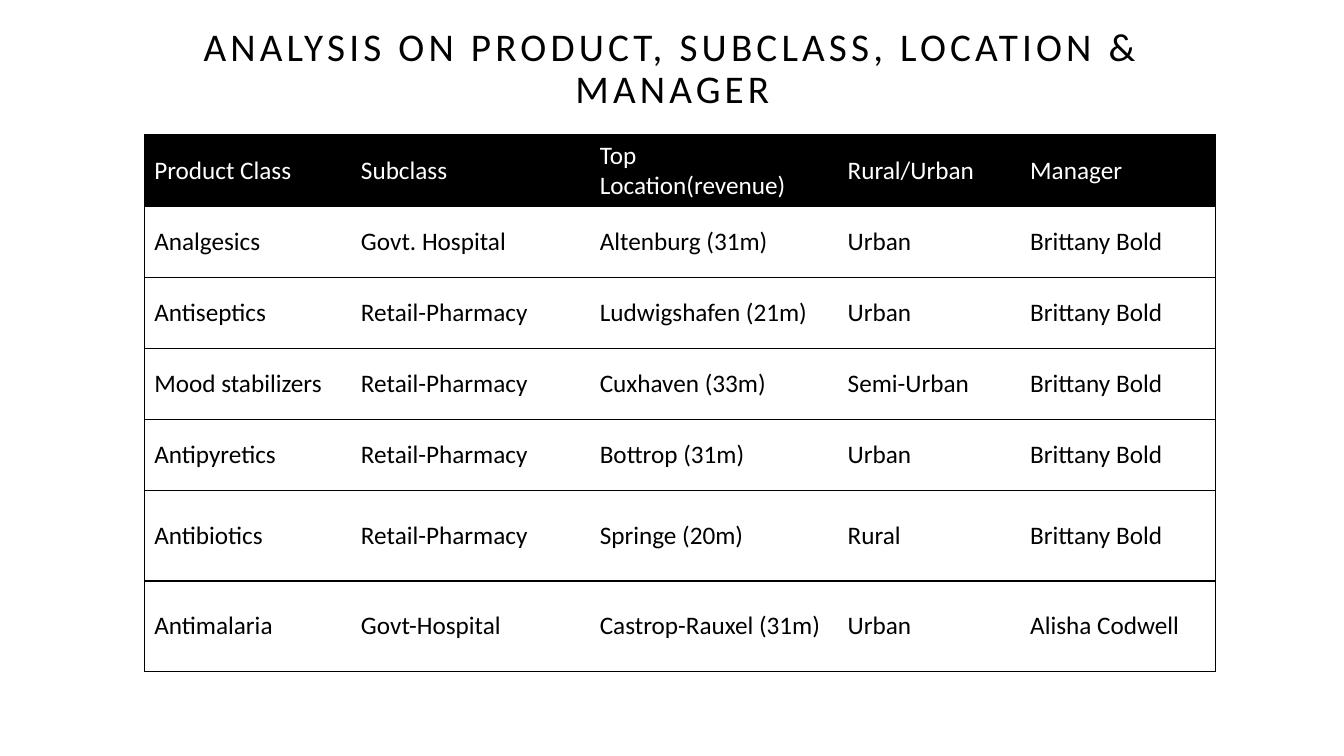
from typing import NamedTuple

from lxml.etree import SubElement
from pptx import Presentation
from pptx.dml.color import RGBColor
from pptx.enum.text import MSO_ANCHOR, MSO_AUTO_SIZE, PP_ALIGN
from pptx.oxml.ns import qn
from pptx.util import Inches, Length, Pt

BLACK = RGBColor(0, 0, 0)
WHITE = RGBColor(255, 255, 255)
WIDTH, HEIGHT = Inches(13.33), Inches(7.5)


class ProductRow(NamedTuple):
    product: str
    subclass: str
    location: str
    area: str
    manager: str
    height: float = 9.39


ROWS = [
    ProductRow("Product Class", "Subclass", "Top Location(revenue)", "Rural/Urban", "Manager"),
    ProductRow("Analgesics", "Govt. Hospital", "Altenburg (31m)", "Urban", "Brittany Bold"),
    ProductRow("Antiseptics", "Retail-Pharmacy", "Ludwigshafen (21m)", "Urban", "Brittany Bold"),
    ProductRow("Mood stabilizers", "Retail-Pharmacy", "Cuxhaven (33m)", "Semi-Urban", "Brittany Bold"),
    ProductRow("Antipyretics", "Retail-Pharmacy", "Bottrop (31m)", "Urban", "Brittany Bold"),
    ProductRow("Antibiotics", "Retail-Pharmacy", "Springe (20m)", "Rural", "Brittany Bold", 11.97),
    ProductRow("Antimalaria", "Govt-Hospital", "Castrop-Rauxel (31m)", "Urban", "Alisha Codwell", 11.97),
]
COLUMNS = [15.38, 17.77, 18.45, 13.58, 14.55]


def across(share: float) -> Length:
    return Length(round(WIDTH * share / 100))


def down(share: float) -> Length:
    return Length(round(HEIGHT * share / 100))


def apply(target, formats: dict) -> None:
    for name, value in formats.items():
        setattr(target, name, value)


def format_run(r, size: int, color: RGBColor) -> None:
    apply(r.font, {"name": "Calibri", "size": Pt(size), "bold": False})
    r.font.color.rgb = color


def add_title(s, text: str) -> None:
    sp = s.shapes.title
    apply(sp, {"left": across(6.9), "top": down(5.33), "width": across(86.27), "height": down(7.87)})
    tf = sp.text_frame
    apply(tf, {"word_wrap": True, "auto_size": MSO_AUTO_SIZE.NONE, "vertical_anchor": MSO_ANCHOR.MIDDLE})
    p = tf.paragraphs[0]
    apply(p, {"alignment": PP_ALIGN.CENTER, "line_spacing": 0.9})
    r = p.add_run()
    r.text = text
    format_run(r, 28, BLACK)
    r.font._element.set("spc", "300")


def set_borders(cell, first: bool, last: bool) -> None:
    tc_pr = cell._tc.get_or_add_tcPr()
    for side, visible in {"L": first, "R": last, "T": True, "B": True}.items():
        ln = SubElement(tc_pr, qn(f"a:ln{side}"), w=str(Pt(1)))
        if visible:
            fill = SubElement(ln, qn("a:solidFill"))
            SubElement(fill, qn("a:srgbClr"), val=str(BLACK))
        else:
            SubElement(ln, qn("a:noFill"))


def fill_cell(cell, text: str, header: bool) -> None:
    cell.vertical_anchor = MSO_ANCHOR.MIDDLE
    cell.fill.solid()
    cell.fill.fore_color.rgb = BLACK if header else WHITE
    r = cell.text_frame.paragraphs[0].add_run()
    r.text = text
    format_run(r, 18, WHITE if header else BLACK)


def add_product_table(s) -> None:
    height = sum(row.height for row in ROWS)
    table = s.shapes.add_table(
        len(ROWS), len(COLUMNS), across(10.73), down(17.87), across(sum(COLUMNS)), down(height)
    ).table
    table.horz_banding = False
    for column, share in zip(table.columns, COLUMNS):
        column.width = across(share)
    for i, row in enumerate(ROWS):
        table.rows[i].height = down(row.height)
        for j, text in enumerate(row[:-1]):
            cell = table.cell(i, j)
            set_borders(cell, j == 0, j == len(COLUMNS) - 1)
            fill_cell(cell, text, i == 0)


def main() -> None:
    prs = Presentation()
    apply(prs, {"slide_width": WIDTH, "slide_height": HEIGHT})
    s = prs.slides.add_slide(prs.slide_layouts[5])
    add_title(s, "ANALYSIS ON PRODUCT, SUBCLASS, LOCATION & MANAGER")
    add_product_table(s)
    prs.save("out.pptx")


if __name__ == "__main__":
    main()
